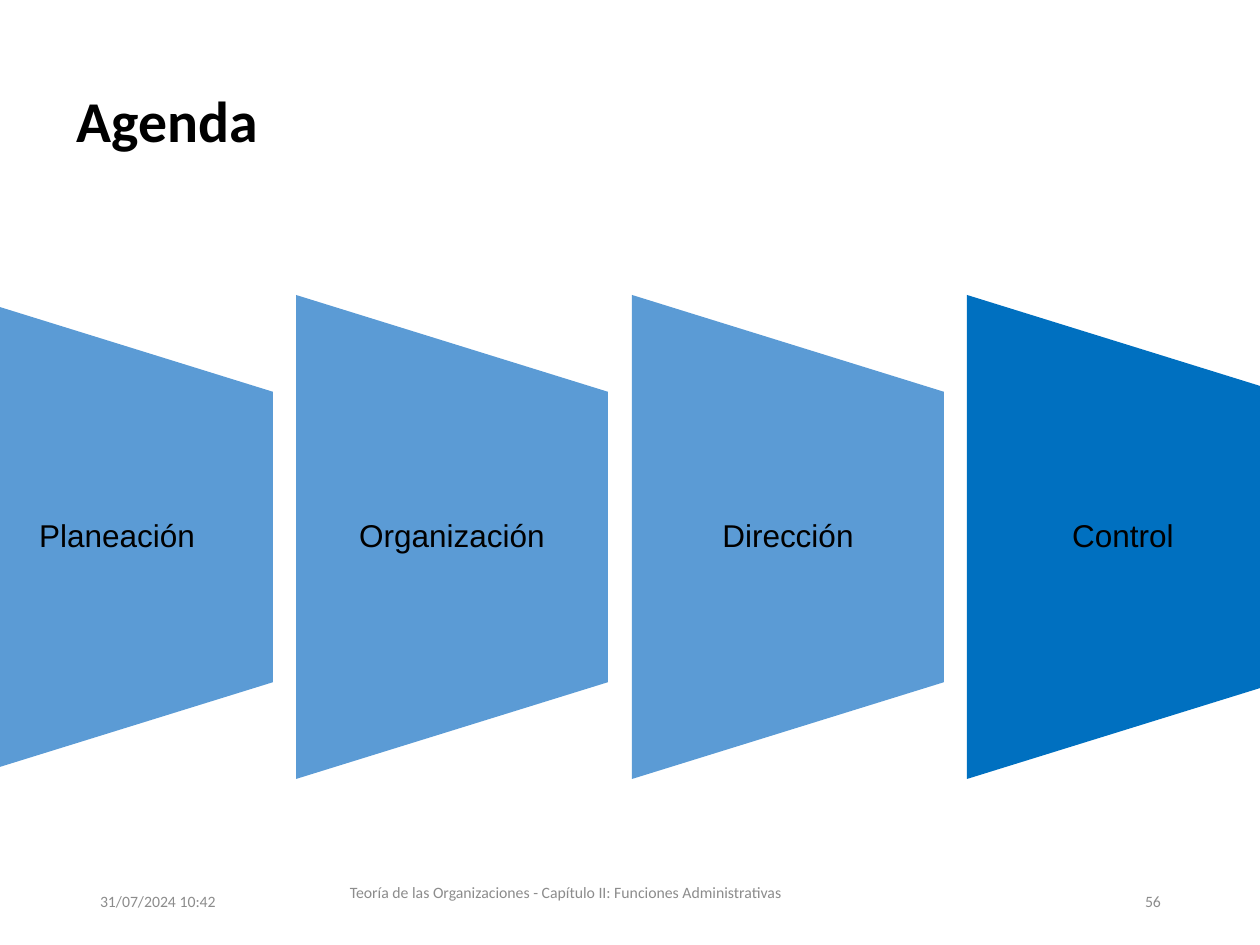
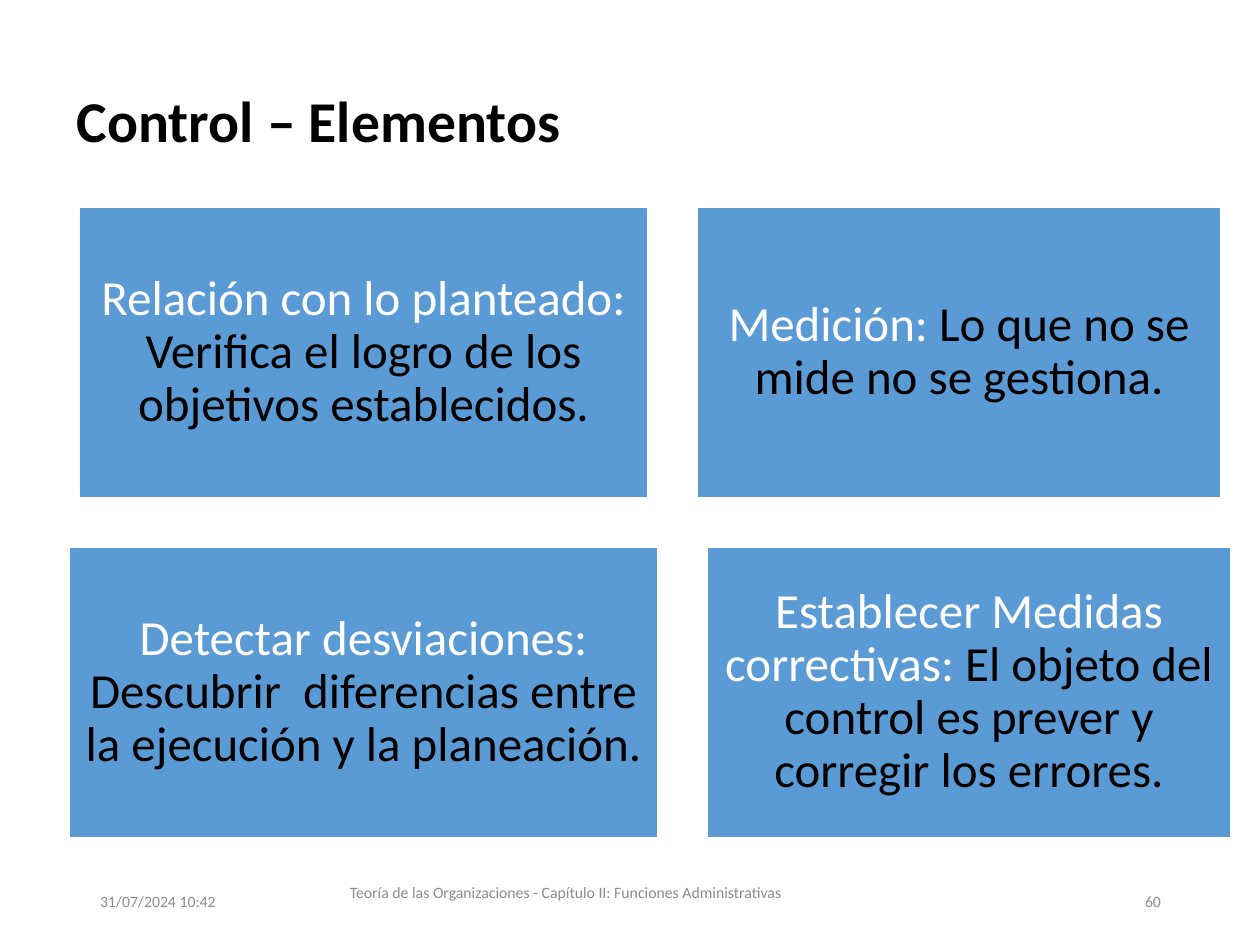
import pptx
import pptx.dml.color
import pptx.enum.shapes
import pptx.enum.text
import pptx.util

PX = 914400 // 126
SLIDE_WIDTH, SLIDE_HEIGHT = 1260, 945
TITLE_ONLY = 5

BLACK, WHITE, GREY = "000000", "FFFFFF", "8C8C8C"
BLUE, ACTIVE_BLUE = "5B9BD5", "0070C0"
ALIGN = pptx.enum.text.PP_ALIGN
SHAPE = pptx.enum.shapes.MSO_SHAPE

FOOTER_DATE = "31/07/2024 10:42"
FOOTER_COURSE = "Teoría de las Organizaciones - Capítulo II: Funciones Administrativas"

FUNCTIONS = ["Planeación", "Organización", "Dirección", "Control"]
CURRENT_FUNCTION = "Control"
STEP_LEFT, STEP_TOP, STEP_WIDTH, STEP_HEIGHT = -39, 295, 312, 484
STEP_PITCH = 335.4
LABEL_TOP, LABEL_HEIGHT = 392, 290

ELEMENT_ROWS = [
    [(569, "Relación con lo planteado: ",
      "Verifica el logro de los objetivos establecidos."),
     (524, "Medición: ", "Lo que no se mide no se gestiona.")],
    [(589, "Detectar desviaciones: ",
      "Descubrir  diferencias entre la ejecución y la planeación."),
     (524, "Establecer Medidas correctivas: ",
      "El objeto del control es prever y corregir los errores.")],
]
CARDS_CENTER, CARDS_TOP, CARD_HEIGHT, CARD_GAP = 650, 207, 291, 49


def px(*lengths):
    return [pptx.util.Emu(length * PX) for length in lengths]


def color(hex_string):
    return pptx.dml.color.RGBColor.from_string(hex_string)


def set_text(box, spans, size, font="Calibri", bold=False, align=ALIGN.LEFT,
             spacing=1.0, insets=(13, 6)):
    """Write (text, colour) spans as one vertically centred paragraph."""
    frame = box.text_frame
    frame.word_wrap = True
    frame.auto_size = pptx.enum.text.MSO_AUTO_SIZE.NONE
    frame.vertical_anchor = pptx.enum.text.MSO_ANCHOR.MIDDLE
    side, edge = px(*insets)
    frame.margin_left = frame.margin_right = side
    frame.margin_top = frame.margin_bottom = edge
    para = frame.paragraphs[0]
    para.alignment = align
    para.line_spacing = spacing
    for text, text_color in spans:
        span = para.add_run()
        span.text = text
        span.font.name = font
        span.font.size = pptx.util.Pt(size)
        span.font.bold = bold
        span.font.color.rgb = color(text_color)


def add_label(page, bounds, text, size, text_color, **style):
    box = page.shapes.add_textbox(*px(*bounds))
    set_text(box, [(text, text_color)], size, **style)


def add_block(page, kind, bounds, fill):
    block = page.shapes.add_shape(kind, *px(*bounds))
    block.shadow.inherit = False
    block.fill.solid()
    block.fill.fore_color.rgb = color(fill)
    block.line.fill.background()
    return block


def add_page(deck, title, number):
    page = deck.slides.add_slide(deck.slide_layouts[TITLE_ONLY])
    heading = page.shapes.title
    heading.left, heading.top, heading.width, heading.height = px(64, 45, 1134, 158)
    set_text(heading, [(title, BLACK)], 33, bold=True, spacing=0.9)
    add_label(page, (87, 876, 284, 50), FOOTER_DATE, 9, GREY)
    add_label(page, (236, 861, 659, 63), FOOTER_COURSE, 9, GREY, align=ALIGN.CENTER)
    add_label(page, (890, 876, 284, 50), str(number), 9, GREY, align=ALIGN.RIGHT)
    return page


def add_step(page, left, name):
    """Draw a manual-operation shape turned on its side, with upright text."""
    shift = (STEP_HEIGHT - STEP_WIDTH) // 2
    bounds = (left - shift, STEP_TOP + shift, STEP_HEIGHT, STEP_WIDTH)
    fill = ACTIVE_BLUE if name == CURRENT_FUNCTION else BLUE
    block = add_block(page, SHAPE.FLOWCHART_MANUAL_OPERATION, bounds, fill)
    block.rotation = 270
    add_label(page, (left, LABEL_TOP, STEP_WIDTH, LABEL_HEIGHT), name, 18, BLACK,
              font="Arial", align=ALIGN.CENTER, spacing=0.9, insets=(15, 0))


def add_card(page, bounds, term, meaning):
    card = add_block(page, SHAPE.RECTANGLE, bounds, BLUE)
    card.line.color.rgb = color(WHITE)
    card.line.width = pptx.util.Pt(1)
    set_text(card, [(term, WHITE), (meaning, BLACK)], 28,
             align=ALIGN.CENTER, spacing=0.9, insets=(15, 15))


def add_card_row(page, top, row):
    """Centre a row of cards of different widths."""
    total = sum(width for width, _, _ in row) + CARD_GAP * (len(row) - 1)
    left = CARDS_CENTER - total // 2
    for width, term, meaning in row:
        add_card(page, (left, top, width, CARD_HEIGHT), term, meaning)
        left += width + CARD_GAP


def main():
    deck = pptx.Presentation()
    deck.slide_width, deck.slide_height = px(SLIDE_WIDTH, SLIDE_HEIGHT)

    agenda = add_page(deck, "Agenda", 56)
    for index, name in enumerate(FUNCTIONS):
        add_step(agenda, round(STEP_LEFT + index * STEP_PITCH), name)

    elements = add_page(deck, "Control – Elementos", 60)
    for index, row in enumerate(ELEMENT_ROWS):
        add_card_row(elements, CARDS_TOP + index * (CARD_HEIGHT + CARD_GAP), row)

    deck.save("out.pptx")


if __name__ == "__main__":
    main()
